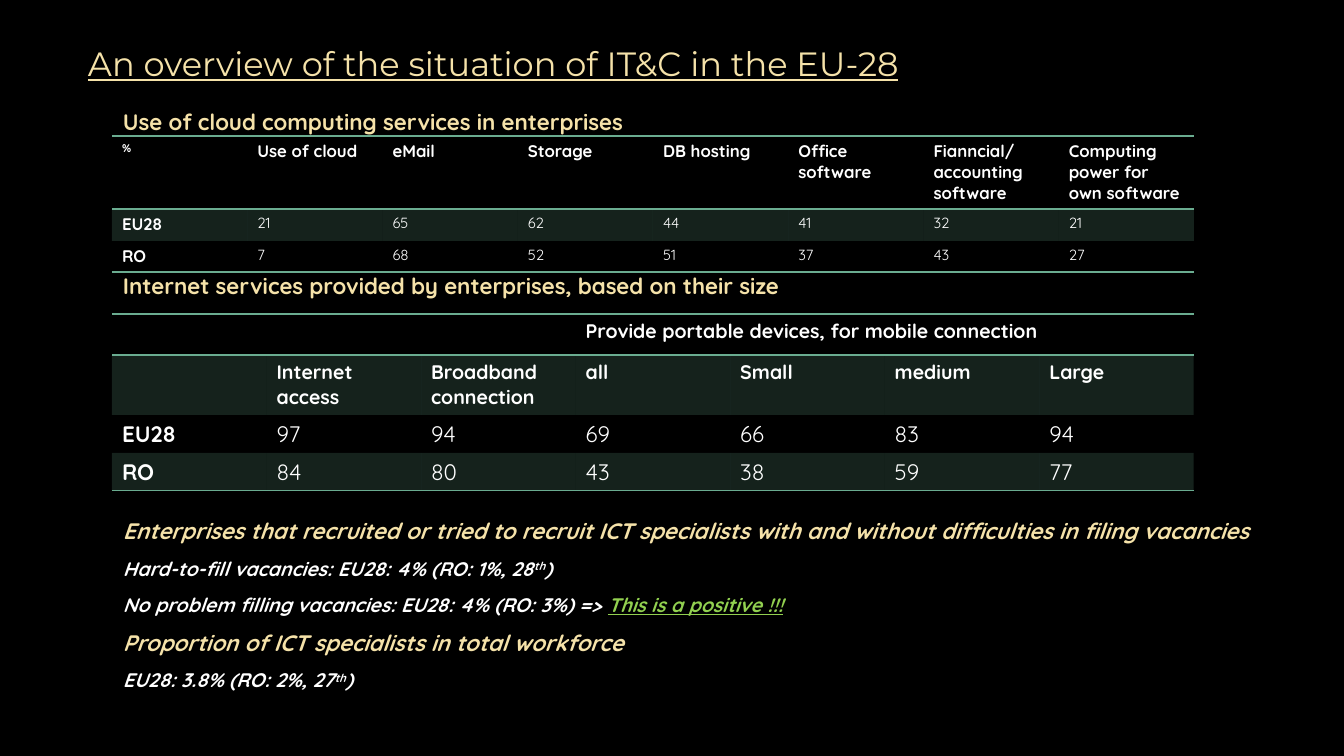
from dataclasses import dataclass

from lxml import etree
from pptx import Presentation
from pptx import util as u
from pptx.dml.color import RGBColor
from pptx.enum import text
from pptx.oxml import ns

SLIDE_W, SLIDE_H = 1344, 756
EMU_PER_PX = u.Inches(13.3333) / SLIDE_W
NO_STYLE_TABLE = "{2D5ABB26-0587-4C30-8999-92F81FD0307C}"


@dataclass(frozen=True)
class Theme:
    background: str = "000000"
    heading: str = "F5E2A9"
    body: str = "FFFFFF"
    positive: str = "92D050"
    rule: str = "6AAC90"
    band_alpha: int = 20
    rule_pt: int = 1
    title_font: str = "Montserrat"
    body_font: str = "Quicksand"
    title_pt: int = 24
    heading_pt: int = 16
    finding_pt: int = 14
    label_pt: int = 12
    value_pt: float = 10.5
    unit_pt: int = 8
    gap_pt: int = 9


THEME = Theme()
HEADING = dict(name=THEME.body_font, size=THEME.heading_pt, color=THEME.heading, bold=True)
FINDING = HEADING | dict(size=THEME.finding_pt, color=THEME.body, italic=True)
LABEL = dict(name=THEME.body_font, size=THEME.label_pt, color=THEME.body, bold=True)

CLOUD_ROWS = [
    ["%", "Use of cloud", "eMail", "Storage", "DB hosting", "Office software",
     "Fianncial/accounting software", "Computing power for own software"],
    ["EU28", 21, 65, 62, 44, 41, 32, 21],
    ["RO", 7, 68, 52, 51, 37, 43, 27],
]
INTERNET_ROWS = [
    ["", "", "", "Provide portable devices, for mobile connection", "", "", ""],
    ["", "Internet access", "Broadband connection", "all", "Small", "medium", "Large"],
    ["EU28", 97, 94, 69, 66, 83, 94],
    ["RO", 84, 80, 43, 38, 59, 77],
]
SUBHEADING = HEADING | dict(italic=True)
ORDINAL = FINDING | dict(baseline=30)
FINDINGS = [
    [("Enterprises that recruited or tried to recruit ICT specialists with and without "
      "difficulties in filing vacancies", SUBHEADING)],
    [("Hard-to-fill vacancies: EU28: 4% (RO: 1%, 28", FINDING), ("th", ORDINAL), (")", FINDING)],
    [("No problem filling vacancies: EU28: 4% (RO: 3%) => ", FINDING),
     ("This is a positive !!!", FINDING | dict(color=THEME.positive, underline=True))],
    [("Proportion of ICT specialists in total workforce", SUBHEADING)],
    [("EU28: 3.8% (RO: 2%, 27", FINDING), ("th", ORDINAL), (")", FINDING)],
]


def px(length):
    return u.Emu(round(length * EMU_PER_PX))


def add_run(paragraph, words, style):
    run = paragraph.add_run()
    run.text = words
    for key, value in style.items():
        if key == "color":
            run.font.color.rgb = RGBColor.from_string(value)
        elif key == "baseline":
            run._r.get_or_add_rPr().set("baseline", str(value * 1000))
        else:
            setattr(run.font, key, u.Pt(value) if key == "size" else value)


def text_block(slide, box, paragraphs, anchor=text.MSO_ANCHOR.TOP):
    """Fill a box with paragraphs, each a list of (words, style) runs."""
    frame = slide.shapes.add_textbox(*map(px, box)).text_frame
    layout = dict(word_wrap=True, vertical_anchor=anchor,
                  margin_left=0, margin_right=0, margin_top=0, margin_bottom=0)
    for key, value in layout.items():
        setattr(frame, key, value)
    for index, runs in enumerate(paragraphs):
        paragraph = frame.add_paragraph() if index else frame.paragraphs[0]
        paragraph.space_before = u.Pt(THEME.gap_pt if index else 0)
        for words, style in runs:
            add_run(paragraph, words, style)


def paint_cell(cell, banded, edges):
    """Give a cell its translucent band and rules on the named edges (T, B)."""
    properties = cell._tc.get_or_add_tcPr()
    if banded:
        cell.fill.solid()
        cell.fill.fore_color.rgb = RGBColor.from_string(THEME.rule)
        color = properties.find(ns.qn("a:solidFill")).find(ns.qn("a:srgbClr"))
        etree.SubElement(color, ns.qn("a:alpha"), val=str(THEME.band_alpha * 1000))
    else:
        cell.fill.background()
    for position, edge in enumerate(edges):
        line = etree.Element(ns.qn(f"a:ln{edge}"), w=str(u.Pt(THEME.rule_pt)))
        fill = etree.SubElement(line, ns.qn("a:solidFill"))
        etree.SubElement(fill, ns.qn("a:srgbClr"), val=THEME.rule)
        properties.insert(position, line)


def figures_table(slide, box, rows, row_heights, style_for):
    """Draw a ruled table; style_for(row, column) gives the text style of a cell."""
    left, top, width = box
    last = len(rows) - 1
    columns = len(rows[0])
    frame = slide.shapes.add_table(len(rows), columns, px(left), px(top),
                                   px(width), px(sum(row_heights)))
    table = frame.table
    table.first_row = table.horz_banding = False
    table._tbl.tblPr.find(ns.qn("a:tableStyleId")).text = NO_STYLE_TABLE
    for column in table.columns:
        column.width = px(width / columns)
    for r, (values, height) in enumerate(zip(rows, row_heights)):
        table.rows[r].height = px(height)
        edges = "TB" if r == 0 else "B" if r == last else ""
        for c, value in enumerate(values):
            cell = table.cell(r, c)
            paint_cell(cell, r % 2 == 1, edges)
            if value != "":
                add_run(cell.text_frame.paragraphs[0], str(value), style_for(r, c))
    return table


def cloud_style(row, column):
    if row and column:
        return LABEL | dict(size=THEME.value_pt, bold=False)
    return LABEL | dict(size=THEME.label_pt if row or column else THEME.unit_pt)


def internet_style(row, column):
    if row < 2:
        return LABEL | dict(size=THEME.finding_pt)
    return LABEL | dict(size=THEME.heading_pt, bold=column == 0)


def cloud_section(slide, left, top, width):
    text_block(slide, (left + 11, top, width, 28),
               [[("Use of cloud computing services in enterprises", HEADING)]])
    figures_table(slide, (left, top + 28, width), CLOUD_ROWS, (73, 32, 31), cloud_style)


def internet_section(slide, left, top, width):
    text_block(slide, (left + 11, top, width, 28),
               [[("Internet services provided by enterprises, based on their size", HEADING)]])
    table = figures_table(slide, (left, top + 42, width), INTERNET_ROWS,
                          (41, 60, 38, 38), internet_style)
    table.cell(0, 3).merge(table.cell(0, 6))


def overview_slide(deck):
    slide = deck.slides.add_slide(deck.slide_layouts[6])
    slide.background.fill.solid()
    slide.background.fill.fore_color.rgb = RGBColor.from_string(THEME.background)
    title = dict(name=THEME.title_font, size=THEME.title_pt, color=THEME.heading, underline=True)
    text_block(slide, (88, 37, 1027, 53),
               [[("An overview of the situation of IT&C in the EU-28", title)]],
               text.MSO_ANCHOR.MIDDLE)
    cloud_section(slide, 112, 108, 1082)
    internet_section(slide, 112, 272, 1082)
    text_block(slide, (123, 517, 1167, 186), FINDINGS)


def main():
    deck = Presentation()
    deck.slide_width, deck.slide_height = px(SLIDE_W), px(SLIDE_H)
    overview_slide(deck)
    deck.save("out.pptx")


if __name__ == "__main__":
    main()
